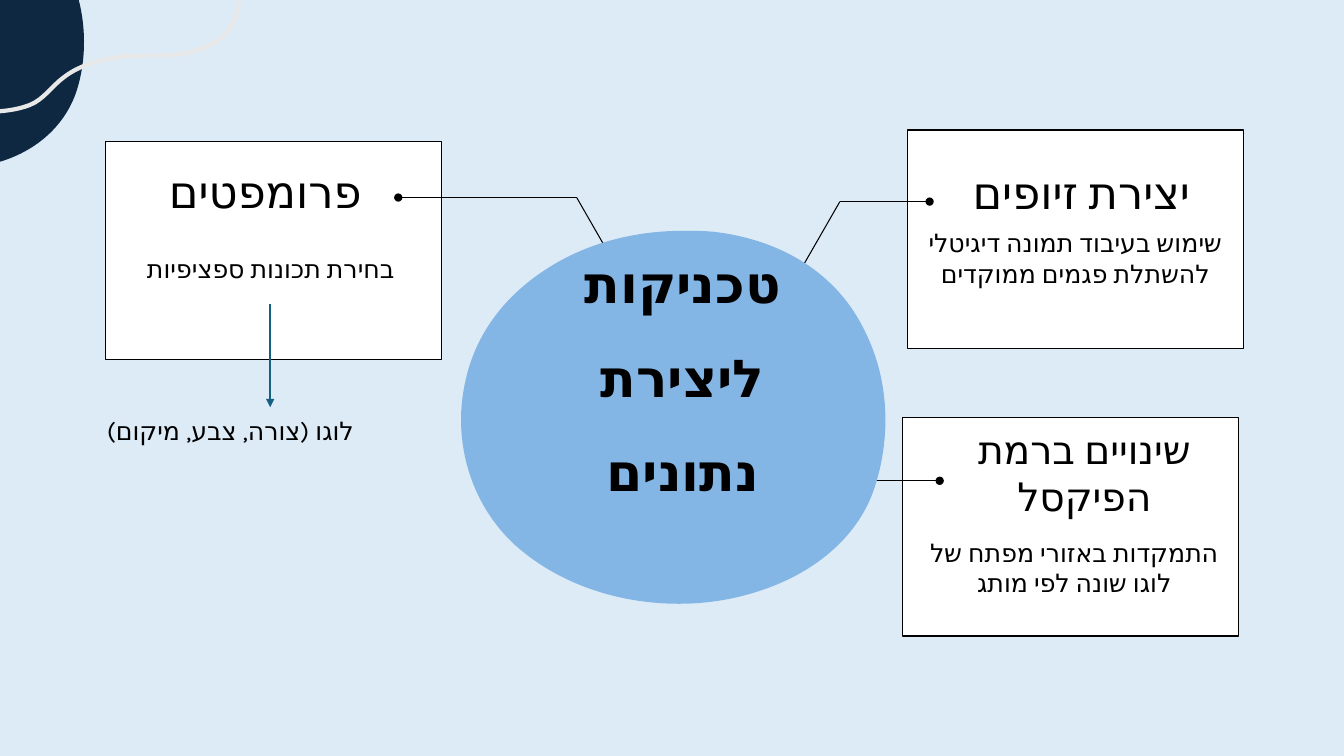
from lxml import etree
from pptx import Presentation
from pptx.dml.color import RGBColor
from pptx.enum.lang import MSO_LANGUAGE_ID
from pptx.enum.shapes import MSO_CONNECTOR, MSO_SHAPE
from pptx.enum.text import MSO_ANCHOR, PP_ALIGN
from pptx.oxml.ns import qn
from pptx.util import Pt

STRAIGHT, RECTANGLE = MSO_CONNECTOR.STRAIGHT, MSO_SHAPE.RECTANGLE
TOP, BOTTOM = MSO_ANCHOR.TOP, MSO_ANCHOR.BOTTOM
CENTER, RIGHT = PP_ALIGN.CENTER, PP_ALIGN.RIGHT
HEBREW = MSO_LANGUAGE_ID.HEBREW
PX = 9144  # EMU in one px, 100 px to the inch

THEME = {
    "background": RGBColor(0xDD, 0xEB, 0xF7),
    "navy": RGBColor(0x0E, 0x28, 0x41),
    "wave": RGBColor(0xE8, 0xE8, 0xE8),
    "blob": RGBColor(0x83, 0xB6, 0xE5),
    "card": RGBColor(0xFF, 0xFF, 0xFF),
    "ink": RGBColor(0, 0, 0),
    "arrow": RGBColor(0x15, 0x60, 0x82),
    "font": "Karla",
    "center": Pt(37.3), "title": Pt(32), "long title": Pt(28), "body": Pt(18),
}

presentation = Presentation()
presentation.slide_width, presentation.slide_height = 1333 * PX, 750 * PX
slide = presentation.slides.add_slide(presentation.slide_layouts[6])
slide.background.fill.solid()
slide.background.fill.fore_color.rgb = THEME["background"]


def add_curve(start, curves, closed):
    """Outline of cubic curves, each given as two handles and an end."""
    builder = slide.shapes.build_freeform(*start, scale=PX)
    for curve in curves:
        builder.add_line_segments(zip(curve[::2], curve[1::2]), close=False)
    shape = builder.convert_to_shape()
    shape.shadow.inherit = False
    # Every three straight segments become one cubic curve
    outline = next(shape._element.iter(qn("a:path")))
    segments = outline.findall(qn("a:lnTo"))
    for first in range(0, len(segments), 3):
        cubic = etree.SubElement(outline, qn("a:cubicBezTo"))
        for segment in segments[first:first + 3]:
            cubic.append(segment[0])
            outline.remove(segment)
    if closed:
        etree.SubElement(outline, qn("a:close"))
    return shape


def add_line(start, end, color, width, **arrowheads):
    """Straight line; arrowheads are headEnd or tailEnd with a type."""
    connector = slide.shapes.add_connector(
        STRAIGHT, *(value * PX for value in (*start, *end)))
    connector.line.color.rgb = color
    connector.line.width = width
    outline = connector.line._get_or_add_ln()
    for tag, kind in arrowheads.items():
        etree.SubElement(outline, qn("a:" + tag), type=kind)
    etree.SubElement(connector._element.spPr, qn("a:effectLst"))


# Corner decoration
corner = add_curve((-33, -87), [
    (-60, -87, -87, -78, -110, -62), (-134, -44, -152, -18, -158, 17),
    (-165, 55, -155, 97, -130, 125), (-105, 151, -70, 165, -35, 165),
    (-20, 165, -5, 163, 10, 157), (41, 145, 67, 121, 77, 87),
    (87, 53, 85, 14, 72, -19), (56, -58, 24, -80, -15, -86),
    (-21, -86, -27, -87, -33, -87)], True)
corner.fill.solid()
corner.fill.fore_color.rgb = THEME["navy"]
corner.line.fill.background()

wave = add_curve((238, -12), [
    (238, 6, 233, 27, 219, 38), (211, 44, 202, 48, 192, 51),
    (166, 59, 138, 52, 111, 58), (94, 61, 77, 66, 63, 77),
    (52, 85, 43, 99, 30, 104), (15, 110, -2, 111, -18, 111)], False)
wave.fill.background()
wave.line.color.rgb = THEME["wave"]
wave.line.width = Pt(3)

# Cards, each with a leader that starts at a dot
cards = [
    ((900, 129), [(922, 200), (833, 200), (744, 355)]),
    ((105, 140), [(395, 196), (572, 196), (661, 351)]),
    ((895, 414), [(932, 477), (868, 477)]),
]
for (left, top), leader in cards:
    card = slide.shapes.add_shape(
        RECTANGLE, left * PX, top * PX, 333 * PX, 217 * PX)
    card.shadow.inherit = False
    card.fill.solid()
    card.fill.fore_color.rgb = THEME["card"]
    card.line.color.rgb = THEME["ink"]
    card.line.width = Pt(0.75)
    dot = {"headEnd": "oval"}
    for start, end in zip(leader, leader[1:]):
        add_line(start, end, THEME["ink"], Pt(0.75), **dot)
        dot = {}

# Central blob, over the ends of the bent leaders
blob = add_curve((677, 229), [
    (630, 229, 583, 241, 545, 265), (503, 291, 471, 330, 461, 381),
    (449, 437, 466, 499, 510, 540), (553, 579, 613, 599, 673, 599),
    (700, 599, 726, 595, 751, 587), (805, 570, 850, 535, 867, 485),
    (884, 434, 882, 377, 858, 329), (831, 272, 776, 238, 708, 230),
    (698, 229, 688, 229, 677, 229)], True)
blob.fill.solid()
blob.fill.fore_color.rgb = THEME["blob"]
blob.line.fill.background()

# Texts: box, size, anchor, alignment, wording
texts = [
    ((509, 332, 336, 179), "center", BOTTOM, CENTER, "טכניקות ליצירת נתונים"),
    ((141, 156, 231, 73), "title", BOTTOM, RIGHT, "פרומפטים"),
    ((922, 113, 301, 117), "title", BOTTOM, CENTER, "יצירת זיופים"),
    ((916, 404, 319, 124), "long title", BOTTOM, CENTER, "שינויים ברמת הפיקסל"),
    ((907, 213, 319, 148), "body", TOP, CENTER,
     "שימוש בעיבוד תמונה דיגיטלי להשתלת פגמים ממוקדים"),
    ((899, 520, 333, 89), "body", TOP, CENTER,
     "התמקדות באזורי מפתח של לוגו שונה לפי מותג"),
    ((109, 238, 319, 86), "body", TOP, CENTER, "בחירת תכונות ספציפיות"),
    ((-27, 399, 511, 70), "body", TOP, CENTER, "לוגו (צורה, צבע, מיקום)"),
]
for box, size, anchor, alignment, wording in texts:
    frame = slide.shapes.add_textbox(*(value * PX for value in box)).text_frame
    frame.word_wrap = True
    frame.vertical_anchor = anchor
    frame.margin_left = frame.margin_right = 13 * PX
    frame.margin_top = frame.margin_bottom = 13 * PX
    paragraph = frame.paragraphs[0]
    paragraph.alignment = alignment
    paragraph._p.get_or_add_pPr().set("rtl", "1")
    run = paragraph.add_run()
    run.text = wording
    run.font.name = THEME["font"]
    run.font.size = THEME[size]
    run.font.color.rgb = THEME["ink"]
    run.font.language_id = HEBREW
    etree.SubElement(run.font._element, qn("a:cs"), typeface=THEME["font"])
    if size == "center":
        run.font.bold = True
        paragraph.line_spacing = 1.5

# Arrow from the prompts card to its example
add_line((268, 302), (268, 404), THEME["arrow"], Pt(1.5), tailEnd="triangle")

presentation.save("out.pptx")
